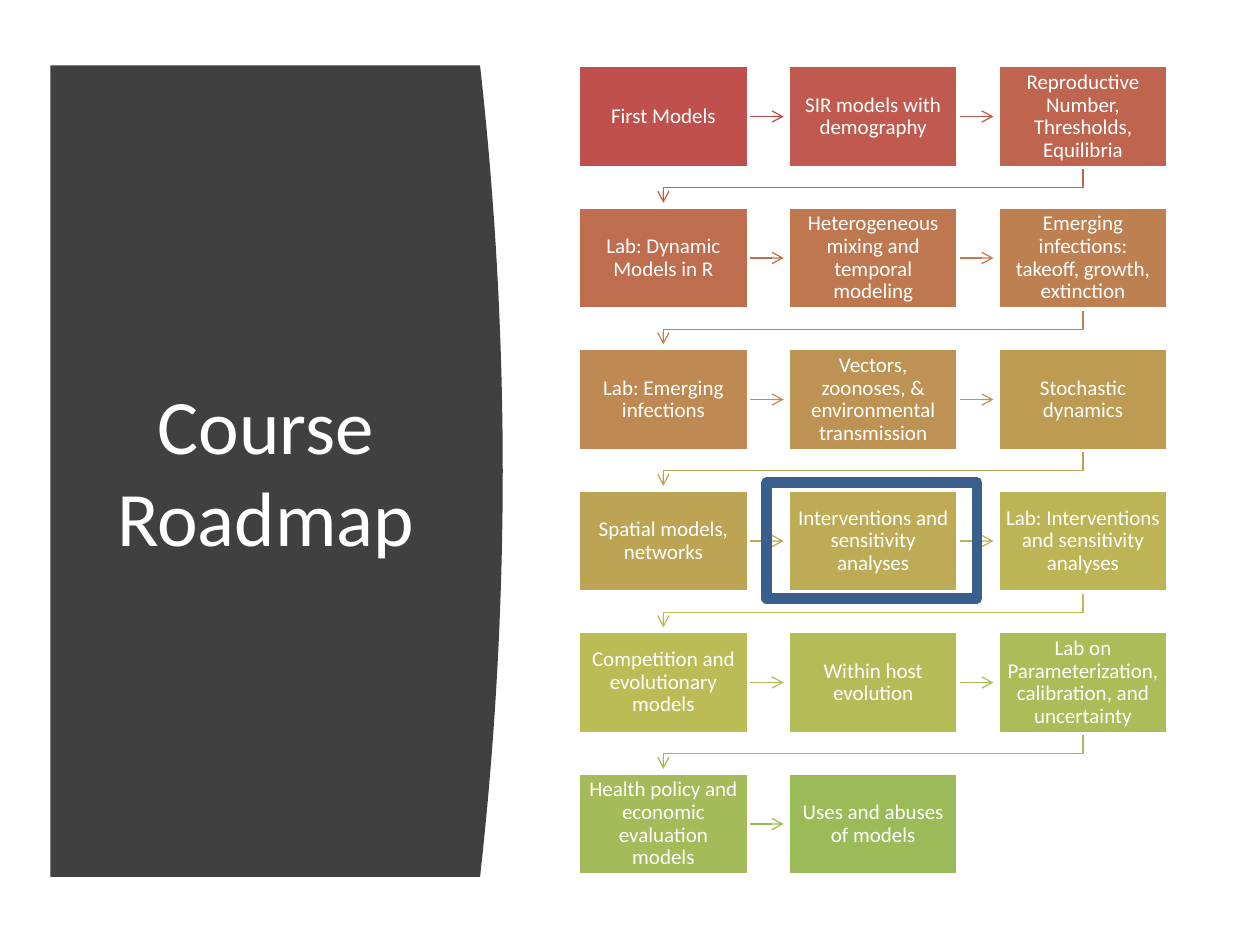
import colorsys
from lxml import etree
from pptx import Presentation
from pptx import util as u
from pptx.dml.color import RGBColor
from pptx.enum import shapes, text
from pptx.oxml.ns import qn

Inches, Pt = u.Inches, u.Pt
FONT = "Calibri"
COLORS = {"panel": "404040", "white": "FFFFFF", "highlight": "3A5F8C",
          "first": "C0504D", "last": "9BBB59"}
TOPICS = [
    "First Models", "SIR models with demography",
    "Reproductive Number, Thresholds, Equilibria",
    "Lab: Dynamic Models in R", "Heterogeneous mixing and temporal modeling",
    "Emerging infections: takeoff, growth, extinction",
    "Lab: Emerging infections", "Vectors, zoonoses, & environmental transmission",
    "Stochastic dynamics",
    "Spatial models, networks", "Interventions and sensitivity analyses",
    "Lab: Interventions and sensitivity analyses",
    "Competition and evolutionary models", "Within host evolution",
    "Lab on Parameterization, calibration, and uncertainty",
    "Health policy and economic evaluation models", "Uses and abuses of models",
]
CURRENT = 10
COLUMNS = 3
BOX_W, BOX_H = 1.35, 0.81
STEP_X, STEP_Y = 1.665, 1.123


def rgb(name):
    return RGBColor.from_string(COLORS[name])


def blend(t):
    """Colour at fraction t of the way from first to last, through the hues."""
    ends = [colorsys.rgb_to_hls(*(v / 255 for v in rgb(n))) for n in ("first", "last")]
    hls = [a + (b - a) * t for a, b in zip(*ends)]
    return RGBColor(*(round(v * 255) for v in colorsys.hls_to_rgb(*hls)))


def write(tf, words, size):
    tf.word_wrap = True
    tf.auto_size = text.MSO_AUTO_SIZE.NONE
    tf.vertical_anchor = text.MSO_ANCHOR.MIDDLE
    p = tf.paragraphs[0]
    p.alignment = text.PP_ALIGN.CENTER
    r = p.add_run()
    r.text = words
    r.font.size, r.font.name = Pt(size), FONT
    r.font.color.rgb = rgb("white")
    return p


def outline(s, points, close):
    """Freeform through points given in inches."""
    start, *rest = [(Inches(px), Inches(py)) for px, py in points]
    fb = s.shapes.build_freeform(*start)
    fb.add_line_segments(rest, close=close)
    sp = fb.convert_to_shape()
    sp.shadow.inherit = False
    return sp


def title_panel(s, x, y, w, h):
    """Dark panel with a bulging right edge, and the title on it."""
    bulge, n = 0.18, 40
    edge = [(x + w - bulge * (2 * i / n - 1) ** 2, y + h * i / n) for i in range(n + 1)]
    panel = outline(s, [(x, y), *edge, (x, y + h)], True)
    panel.fill.solid()
    panel.fill.fore_color.rgb = rgb("panel")
    panel.line.fill.background()
    title = s.shapes.title
    title._element.addprevious(panel._element)
    title.left, title.top = Inches(x + 0.31), Inches(y + 0.59)
    title.width, title.height = Inches(2.8), Inches(5.24)
    write(title.text_frame, "Course Roadmap", 44)


def topic_box(s, x, y, words, color):
    sp = s.shapes.add_shape(shapes.MSO_SHAPE.RECTANGLE, Inches(x), Inches(y),
                            Inches(BOX_W), Inches(BOX_H))
    sp.shadow.inherit = False
    sp.fill.solid()
    sp.fill.fore_color.rgb = color
    sp.line.color.rgb = rgb("white")
    sp.line.width = Pt(2)
    tf = sp.text_frame
    tf.margin_left = tf.margin_right = Inches(0.06)
    tf.margin_top = tf.margin_bottom = Inches(0.07)
    write(tf, words, 12).line_spacing = 0.9


def arrow(s, x, y, wraps, color):
    """Arrow from the box at x, y to the next one, or back to the next row."""
    if wraps:
        start, end = x + BOX_W / 2, x + BOX_W / 2 - (COLUMNS - 1) * STEP_X
        bottom = y + BOX_H
        sp = outline(s, [(start, bottom), (start, bottom + 0.16),
                         (end, bottom + 0.16), (end, bottom + 0.28)], False)
        sp.fill.background()
    else:
        mid = Inches(y + BOX_H / 2)
        sp = s.shapes.add_connector(shapes.MSO_CONNECTOR.STRAIGHT, Inches(x + BOX_W), mid,
                                    Inches(x + BOX_W + 0.28), mid)
        etree.SubElement(sp._element.spPr, qn("a:ln"))
        etree.SubElement(sp._element.spPr, qn("a:effectLst"))
    sp.line.color.rgb = color
    sp.line.width = Pt(0.75)
    etree.SubElement(sp.line._get_or_add_ln(), qn("a:tailEnd"), type="arrow")


def highlight(s, x, y):
    """Thick frame around the box at x, y."""
    sp = s.shapes.add_shape(shapes.MSO_SHAPE.RECTANGLE, Inches(x - 0.17), Inches(y - 0.06),
                            Inches(1.67), Inches(0.92))
    sp.shadow.inherit = False
    sp.fill.background()
    sp.line.color.rgb = rgb("highlight")
    sp.line.width = Pt(6)


def roadmap(s, x, y):
    last = len(TOPICS) - 1
    spots = [(x + i % COLUMNS * STEP_X, y + i // COLUMNS * STEP_Y)
             for i in range(len(TOPICS))]
    for i, (spot, words) in enumerate(zip(spots, TOPICS)):
        if i < last:
            arrow(s, *spot, i % COLUMNS == COLUMNS - 1, blend(i / (last - 1)))
        topic_box(s, *spot, words, blend(i / last))
    highlight(s, *spots[CURRENT])


def main():
    prs = Presentation()
    prs.slide_width, prs.slide_height = Inches(10), Inches(7.5)
    s = prs.slides.add_slide(prs.slide_layouts[5])
    title_panel(s, 0.4, 0.52, 3.59, 6.44)
    roadmap(s, 4.59, 0.52)
    prs.save("out.pptx")


if __name__ == "__main__":
    main()
